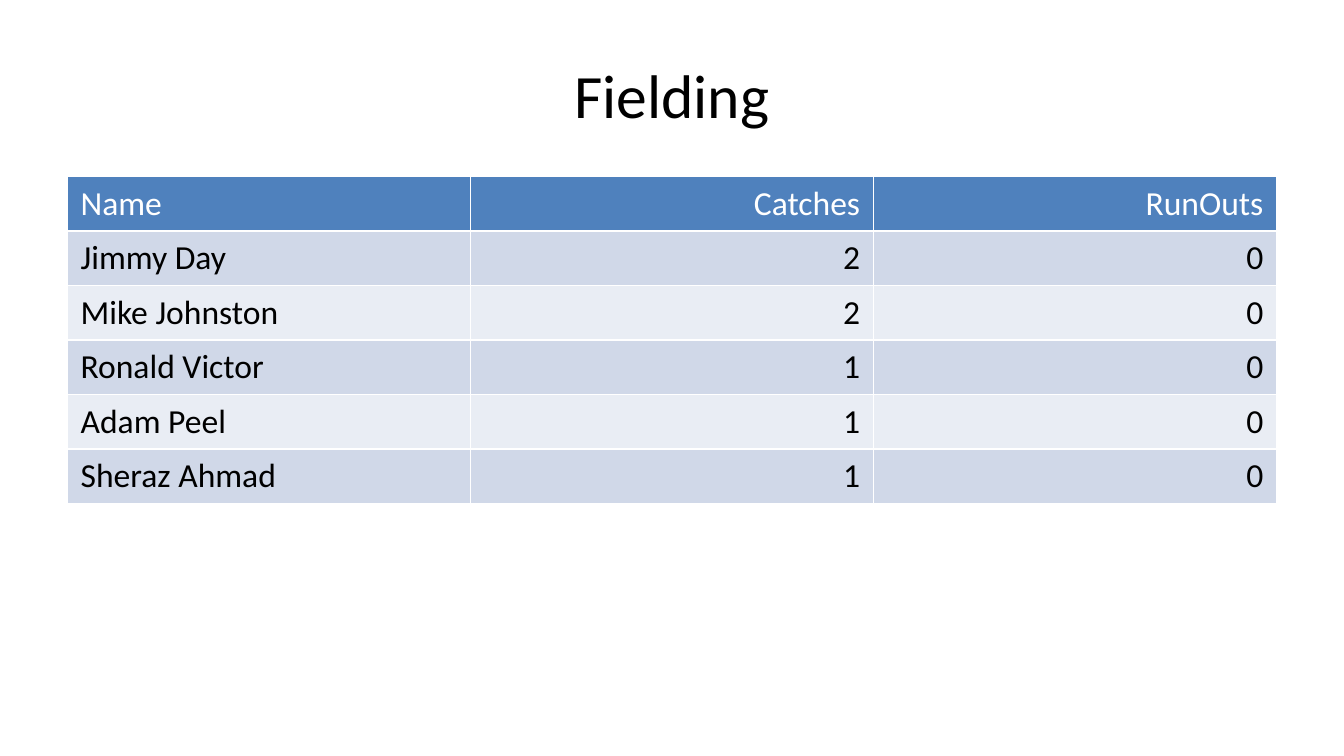
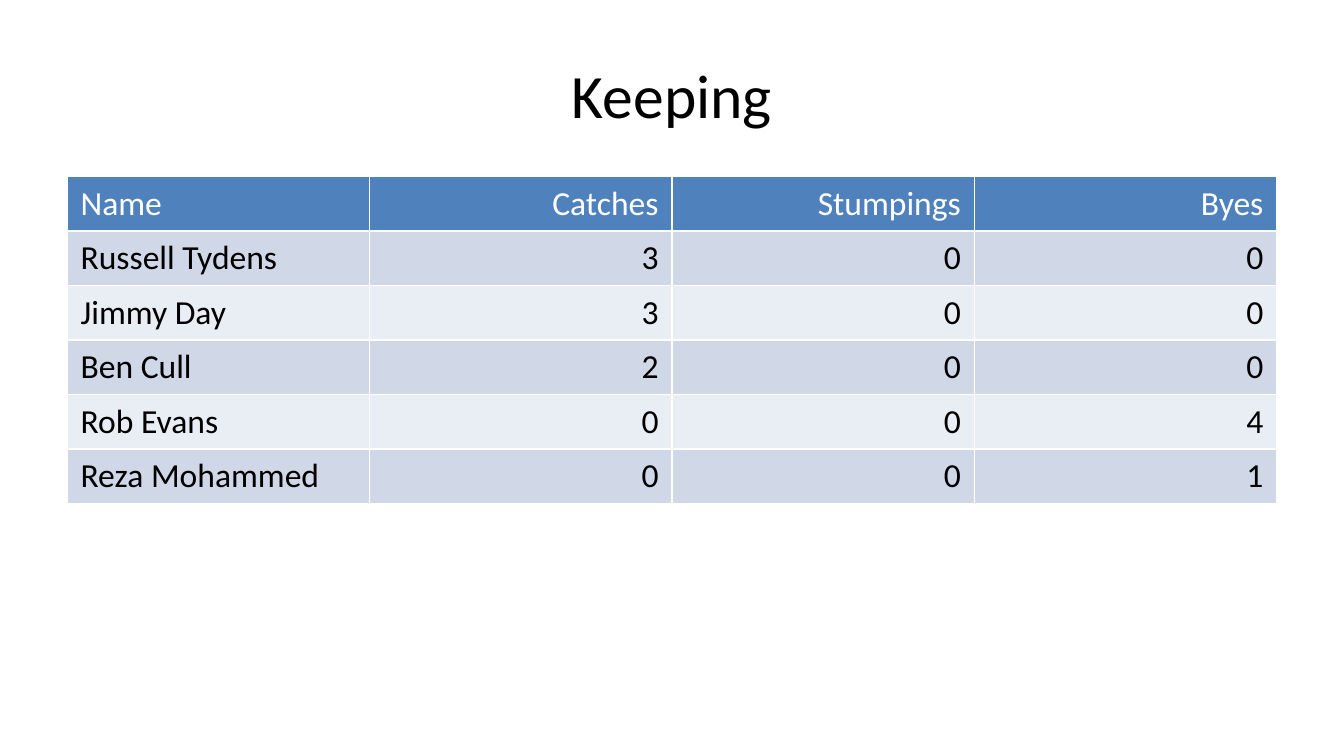
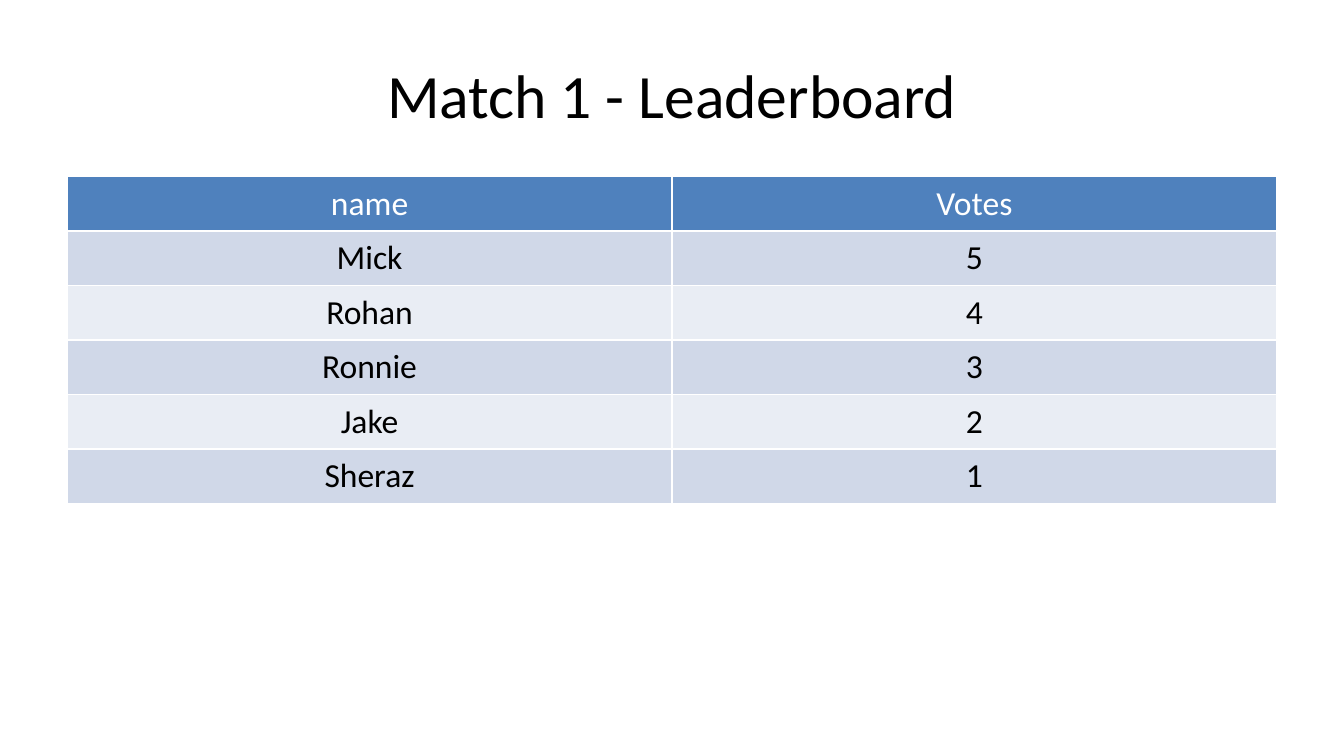
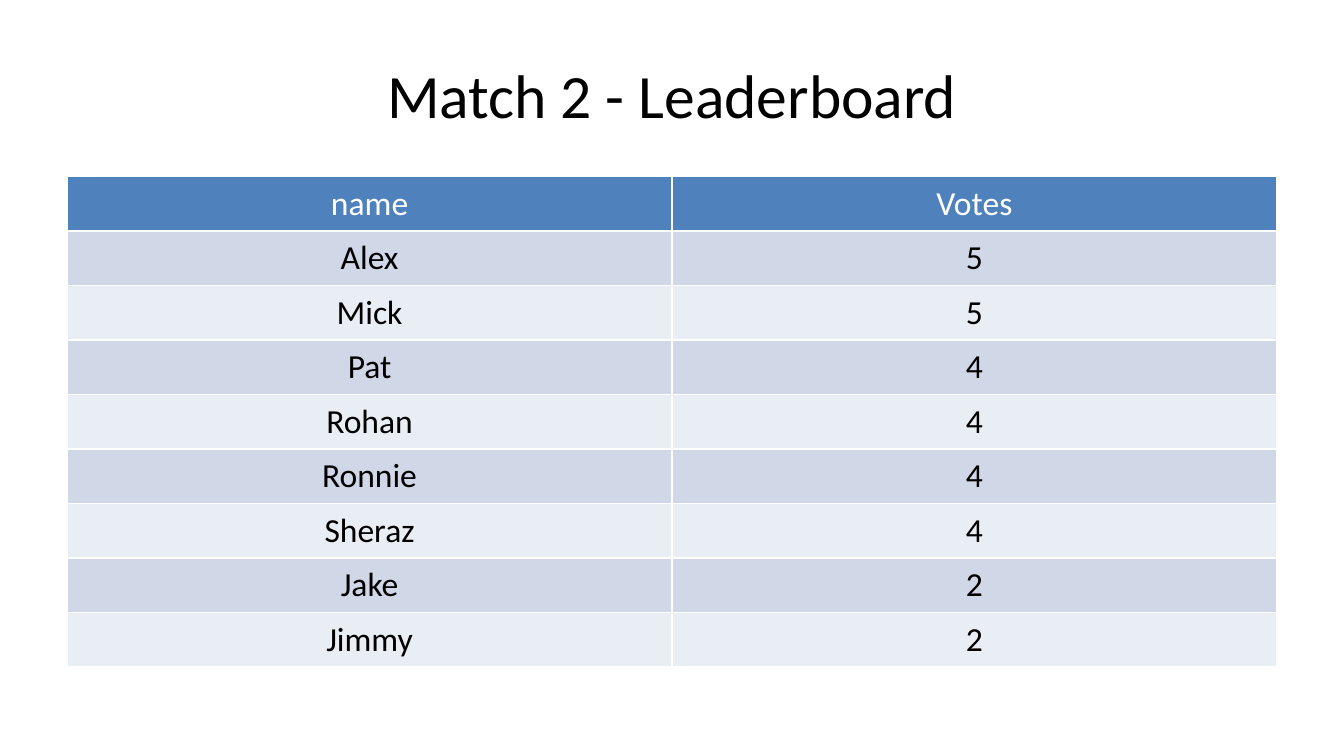
import pptx
import pptx.dml.color
import pptx.enum.text
import pptx.util

Pt = pptx.util.Pt
ALIGN = pptx.enum.text.PP_ALIGN
MIDDLE = pptx.enum.text.MSO_ANCHOR.MIDDLE


def color(hex_value):
    return pptx.dml.color.RGBColor.from_string(hex_value)


def apply(target, formats):
    for name, value in formats.items():
        setattr(target, name, value)


class Scorecard:
    """Holds the shared style and the slide being filled."""

    TEXT, HEADER_TEXT = "000000", "FFFFFF"
    HEADER_FILL, BANDS = "4F81BD", ("D0D8E8", "E9EDF4")
    TITLE_BOX = {"left": Pt(36), "top": Pt(16.56), "width": Pt(648), "height": Pt(67.68)}
    TABLE_BOX = {"left": Pt(36), "top": Pt(94.5), "width": Pt(648), "height": Pt(267.3)}
    TITLE_FONT = {"name": "Calibri", "size": Pt(33)}
    CELL_FONT = {"name": "Calibri", "size": Pt(18), "bold": False}

    def __init__(self):
        self.deck = pptx.Presentation()
        apply(self.deck, {"slide_width": Pt(720), "slide_height": Pt(405)})
        self.slide = None

    def add_text(self, paragraph, text, font, text_color, alignment):
        run = paragraph.add_run()
        run.text = text
        apply(run.font, font)
        run.font.color.rgb = color(text_color)
        paragraph.alignment = alignment

    def start(self, heading):
        self.slide = self.deck.slides.add_slide(self.deck.slide_layouts[5])
        title = self.slide.shapes.title
        apply(title, self.TITLE_BOX)
        title.text_frame.vertical_anchor = MIDDLE
        self.add_text(title.text_frame.paragraphs[0], heading, self.TITLE_FONT, self.TEXT, ALIGN.CENTER)

    def add_scores(self, header, players, name_align, score_align):
        lines = [header, *players]
        frame = self.slide.shapes.add_table(len(lines), len(header), **self.TABLE_BOX)
        for r, line in enumerate(lines):
            frame.table.rows[r].height = Pt(0)
            fill = self.BANDS[(r - 1) % 2] if r else self.HEADER_FILL
            text_color = self.TEXT if r else self.HEADER_TEXT
            for c, value in enumerate(line):
                cell = frame.table.cell(r, c)
                cell.fill.solid()
                cell.fill.fore_color.rgb = color(fill)
                self.add_text(cell.text_frame.paragraphs[0], str(value), self.CELL_FONT,
                              text_color, score_align if c else name_align)
        frame.height = self.TABLE_BOX["height"]


STATISTICS = (ALIGN.LEFT, ALIGN.RIGHT)
LEADERBOARD = (ALIGN.CENTER, ALIGN.CENTER)

SECTIONS = [
    ("Fielding", ("Name", "Catches", "RunOuts"), [
        ("Jimmy Day", 2, 0),
        ("Mike Johnston", 2, 0),
        ("Ronald Victor", 1, 0),
        ("Adam Peel", 1, 0),
        ("Sheraz Ahmad", 1, 0),
    ], STATISTICS),
    ("Keeping", ("Name", "Catches", "Stumpings", "Byes"), [
        ("Russell Tydens", 3, 0, 0),
        ("Jimmy Day", 3, 0, 0),
        ("Ben Cull", 2, 0, 0),
        ("Rob Evans", 0, 0, 4),
        ("Reza Mohammed", 0, 0, 1),
    ], STATISTICS),
    ("Match 1 - Leaderboard", ("name", "Votes"), [
        ("Mick", 5),
        ("Rohan", 4),
        ("Ronnie", 3),
        ("Jake", 2),
        ("Sheraz", 1),
    ], LEADERBOARD),
    ("Match 2 - Leaderboard", ("name", "Votes"), [
        ("Alex", 5),
        ("Mick", 5),
        ("Pat", 4),
        ("Rohan", 4),
        ("Ronnie", 4),
        ("Sheraz", 4),
        ("Jake", 2),
        ("Jimmy", 2),
    ], LEADERBOARD),
]


def main():
    card = Scorecard()
    for heading, header, players, alignments in SECTIONS:
        card.start(heading)
        card.add_scores(header, players, *alignments)
    card.deck.save("out.pptx")


if __name__ == "__main__":
    main()
